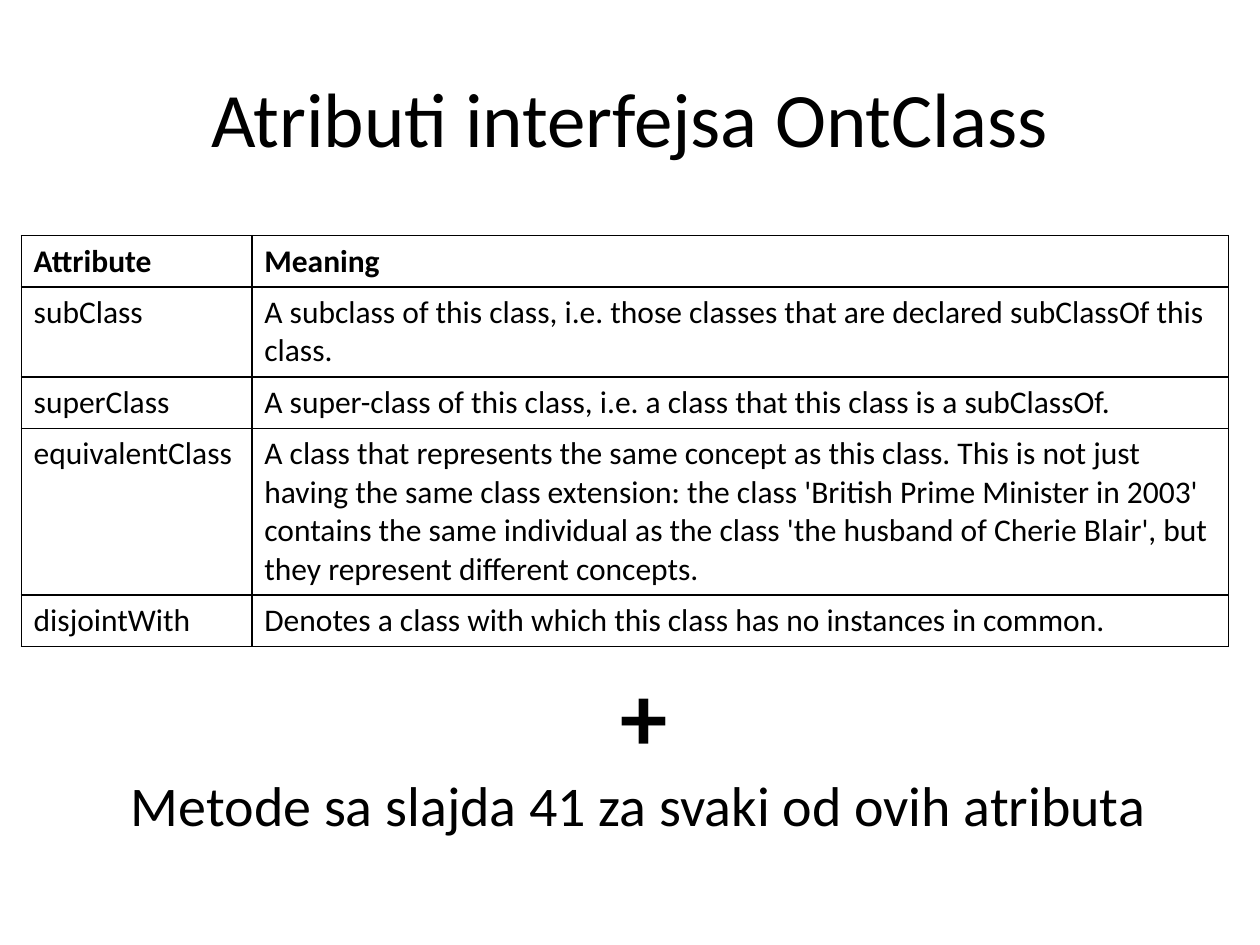
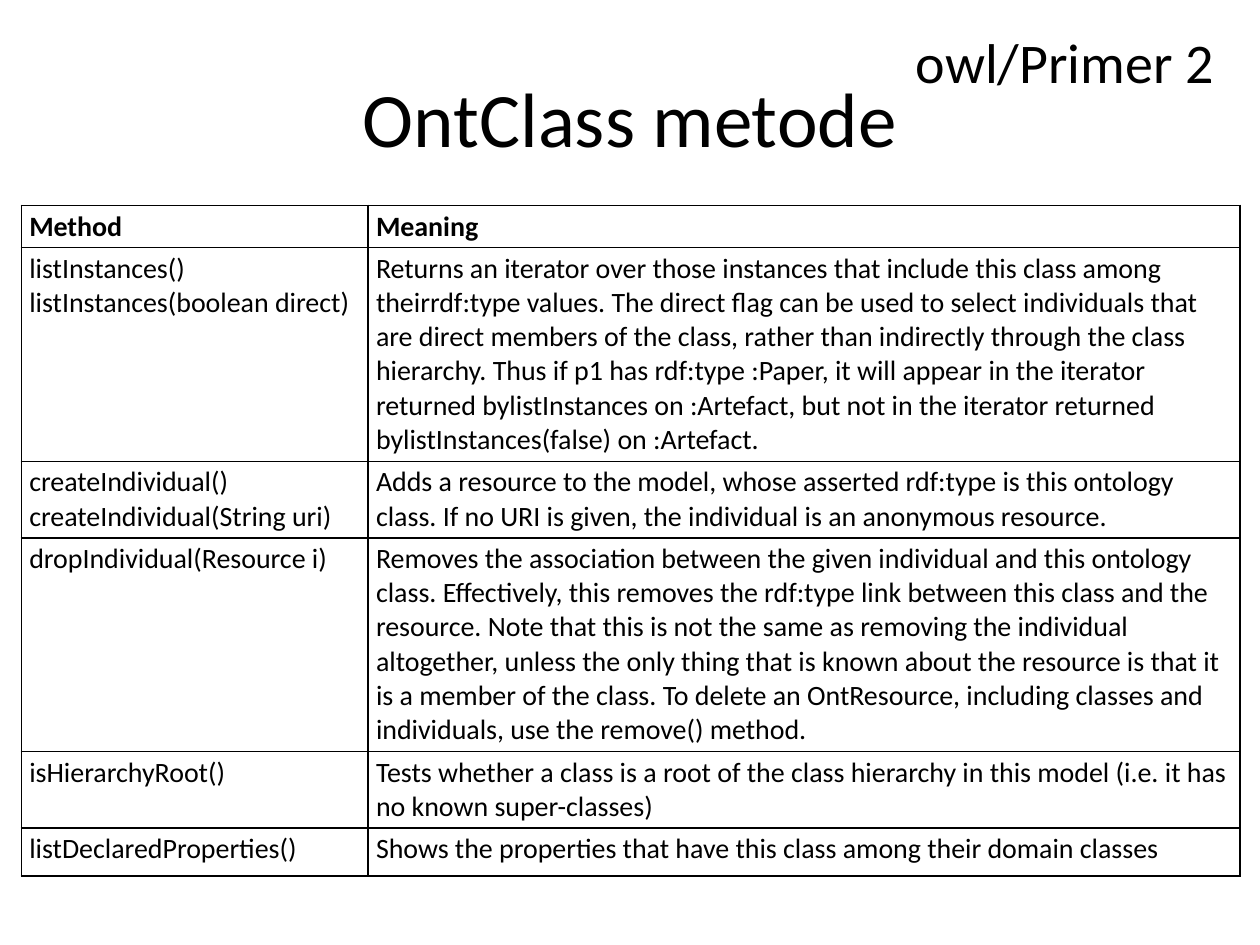
from dataclasses import dataclass

from lxml import etree
from pptx import Presentation
from pptx.dml.color import RGBColor
from pptx.enum.text import MSO_ANCHOR, PP_ALIGN
from pptx.oxml.ns import qn
from pptx.slide import Slide
from pptx.table import _Cell
from pptx.text.text import _Paragraph
from pptx.util import Cm, Pt

LEFT, CENTER = PP_ALIGN.LEFT, PP_ALIGN.CENTER
TOP, MIDDLE = MSO_ANCHOR.TOP, MSO_ANCHOR.MIDDLE

COLORS = {"text": "000000", "border": "000000", "cell": "FFFFFF"}
FONT = "Calibri"
TITLE_ONLY = 5
TABLE_LEFT = 0.43
BORDER_SIDES = ("a:lnL", "a:lnR", "a:lnT", "a:lnB")


@dataclass(frozen=True)
class Line:
    text: str
    size: float
    bold: bool = False
    align: PP_ALIGN = LEFT


@dataclass(frozen=True)
class Note:
    """A free text; lengths in centimetres."""
    left: float
    top: float
    width: float
    height: float
    lines: tuple[Line, ...]


@dataclass(frozen=True)
class Glossary:
    """A two-column table with a bold header row; lengths in centimetres."""
    top: float
    columns: tuple[float, float]
    heights: tuple[float, ...]
    size: float
    inset_x: float
    inset_y: float
    rows: tuple[tuple[str, str], ...]


@dataclass(frozen=True)
class Page:
    title: str
    glossary: Glossary
    note: Note


ATTRIBUTES = Page(
    "Atributi interfejsa OntClass",
    Glossary(
        top=4.75, columns=(4.65, 19.69), heights=(1.03, 1.8, 1.03, 3.36, 1.03),
        size=18, inset_x=0.25, inset_y=0.13,
        rows=(
            ("Attribute", "Meaning"),
            ("subClass",
             "A subclass of this class, i.e. those classes that are "
             "declared subClassOf this class."),
            ("superClass",
             "A super-class of this class, i.e. a class that this class "
             "is a subClassOf."),
            ("equivalentClass",
             "A class that represents the same concept as this class. This is "
             "not just having the same class extension: the class 'British "
             "Prime Minister in 2003' contains the same individual as the "
             "class 'the husband of Cherie Blair', but they represent "
             "different concepts."),
            ("disjointWith",
             "Denotes a class with which this class has no instances in common."),
        ),
    ),
    Note(2.39, 13.13, 21.18, 3.94, (
        Line("+", 54, bold=True, align=CENTER),
        Line("Metode sa slajda 41 za svaki od ovih atributa", 32),
    )),
)

METHODS = Page(
    "OntClass metode",
    Glossary(
        top=4.14, columns=(6.99, 17.58),
        heights=(0.83, 4.31, 1.52, 4.31, 1.52, 0.97),
        size=16, inset_x=0.16, inset_y=0.08,
        rows=(
            ("Method", "Meaning"),
            ("listInstances()\nlistInstances(boolean direct)",
             "Returns an iterator over those instances that include this class "
             "among theirrdf:type values. The direct flag can be used to "
             "select individuals that are direct members of the class, rather "
             "than indirectly through the class hierarchy. Thus if p1 has "
             "rdf:type :Paper, it will appear in the iterator returned "
             "bylistInstances on :Artefact, but not in the iterator returned "
             "bylistInstances(false) on :Artefact."),
            ("createIndividual()\ncreateIndividual(String uri)",
             "Adds a resource to the model, whose asserted rdf:type is this "
             "ontology class. If no URI is given, the individual is an "
             "anonymous resource."),
            ("dropIndividual(Resource i)",
             "Removes the association between the given individual and this "
             "ontology class. Effectively, this removes the rdf:type link "
             "between this class and the resource. Note that this is not the "
             "same as removing the individual altogether, unless the only "
             "thing that is known about the resource is that it is a member "
             "of the class. To delete an OntResource, including classes and "
             "individuals, use the remove() method."),
            ("isHierarchyRoot()",
             "Tests whether a class is a root of the class hierarchy in this "
             "model (i.e. it has no known super-classes)"),
            ("listDeclaredProperties()",
             "Shows the properties that have this class among their domain "
             "classes"),
        ),
    ),
    Note(18.21, 0.43, 6.55, 1.63, (Line("owl/Primer 2", 32),)),
)


def write_line(paragraph: _Paragraph, line: Line) -> None:
    paragraph.text = line.text
    paragraph.alignment = line.align
    for run in paragraph.runs:
        run.font.name = FONT
        run.font.size = Pt(line.size)
        run.font.bold = line.bold
        run.font.color.rgb = RGBColor.from_string(COLORS["text"])


def draw_borders(cell: _Cell) -> None:
    properties = cell._tc.get_or_add_tcPr()
    for position, side in enumerate(BORDER_SIDES):
        border = etree.Element(qn(side), w=str(Pt(1)))
        fill = etree.SubElement(border, qn("a:solidFill"))
        etree.SubElement(fill, qn("a:srgbClr"), val=COLORS["border"])
        properties.insert(position, border)


def add_title(slide: Slide, text: str) -> None:
    title = slide.shapes.title
    title.left, title.top = Cm(1.27), Cm(0.76)
    title.width, title.height = Cm(22.86), Cm(3.18)
    title.text_frame.vertical_anchor = MIDDLE
    write_line(title.text_frame.paragraphs[0], Line(text, 44, align=CENTER))


def add_glossary(slide: Slide, glossary: Glossary) -> None:
    table = slide.shapes.add_table(
        len(glossary.rows), len(glossary.columns),
        Cm(TABLE_LEFT), Cm(glossary.top),
        Cm(sum(glossary.columns)), Cm(sum(glossary.heights)),
    ).table
    table.horz_banding = False
    for column, width in zip(table.columns, glossary.columns):
        column.width = Cm(width)
    for index, (height, texts) in enumerate(zip(glossary.heights, glossary.rows)):
        is_header = index == 0
        table.rows[index].height = Cm(height)
        for cell, text in zip(table.rows[index].cells, texts):
            cell.margin_left = cell.margin_right = Cm(glossary.inset_x)
            cell.margin_top = cell.margin_bottom = Cm(glossary.inset_y)
            cell.vertical_anchor = MIDDLE if is_header else TOP
            cell.fill.solid()
            cell.fill.fore_color.rgb = RGBColor.from_string(COLORS["cell"])
            draw_borders(cell)
            write_line(cell.text_frame.paragraphs[0],
                       Line(text, glossary.size, bold=is_header))


def add_note(slide: Slide, note: Note) -> None:
    frame = slide.shapes.add_textbox(
        Cm(note.left), Cm(note.top), Cm(note.width), Cm(note.height)).text_frame
    frame.word_wrap = True
    frame.text = "\n".join(line.text for line in note.lines)
    for paragraph, line in zip(frame.paragraphs, note.lines):
        write_line(paragraph, line)


def main() -> None:
    deck = Presentation()
    deck.slide_width, deck.slide_height = Cm(25.4), Cm(19.05)
    for page in (ATTRIBUTES, METHODS):
        slide = deck.slides.add_slide(deck.slide_layouts[TITLE_ONLY])
        add_title(slide, page.title)
        add_glossary(slide, page.glossary)
        add_note(slide, page.note)
    deck.save("out.pptx")


if __name__ == "__main__":
    main()
